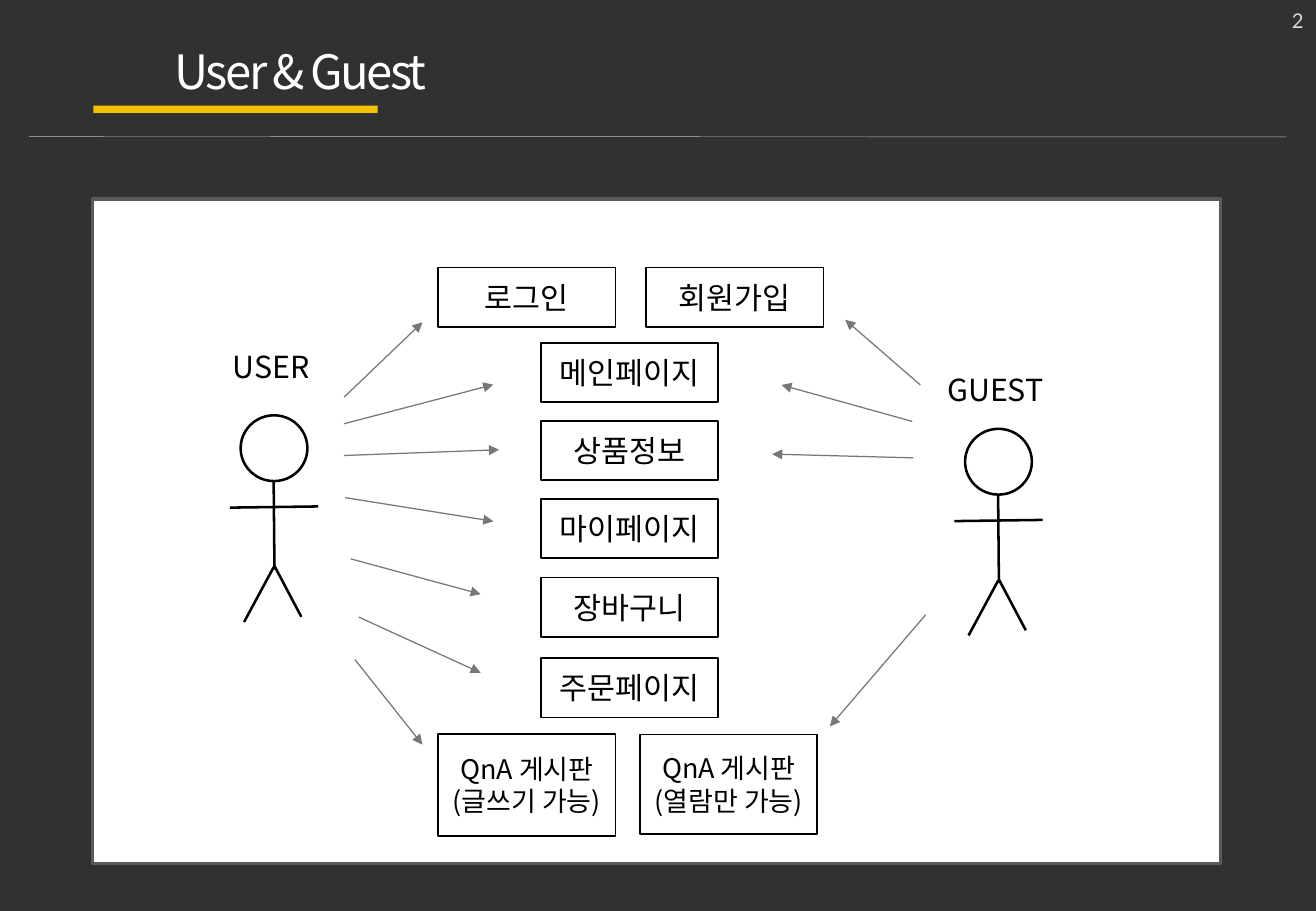
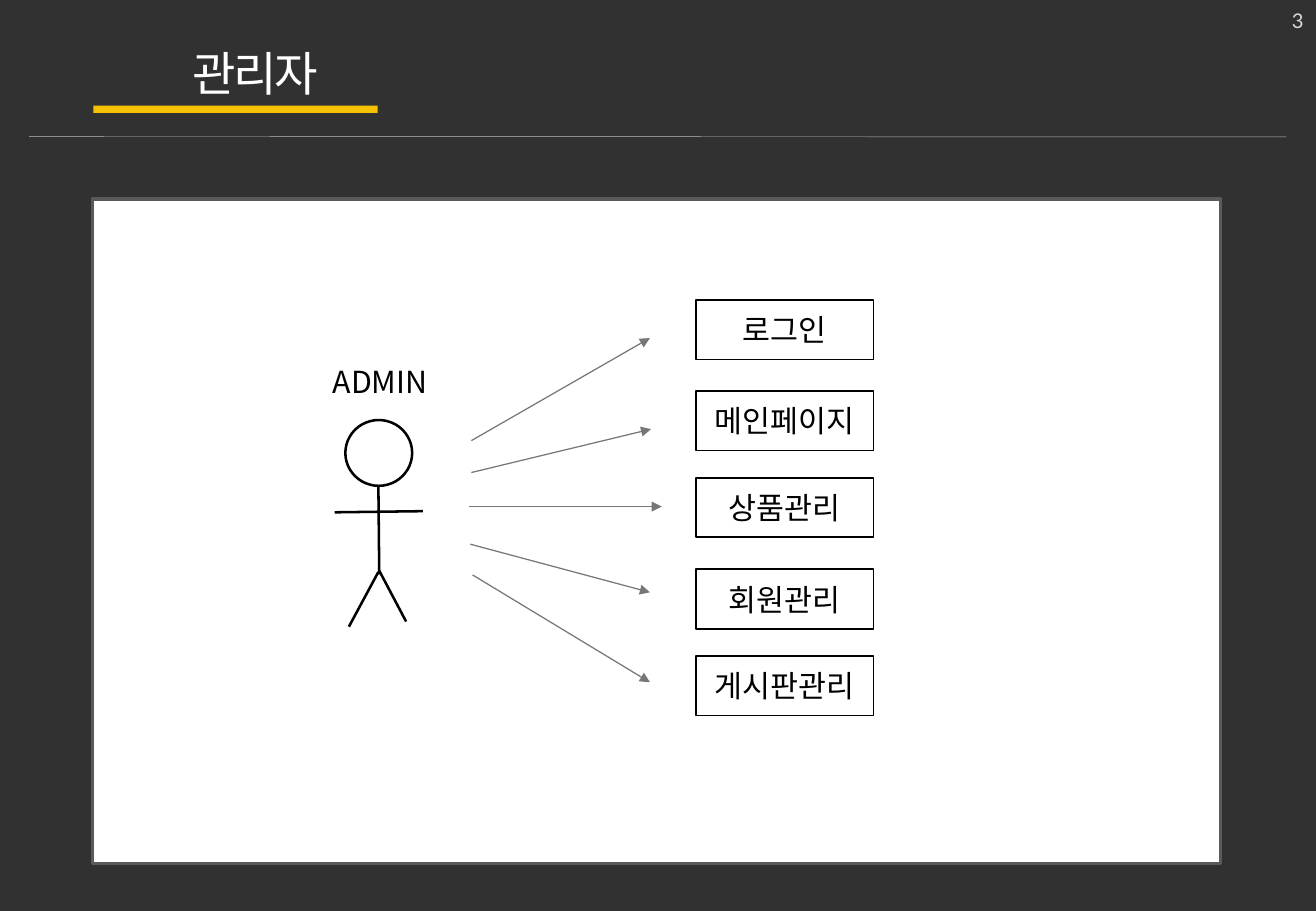
import dataclasses

import lxml.etree
import pptx
import pptx.dml.color
import pptx.enum.shapes
import pptx.enum.text
import pptx.oxml.ns
import pptx.util

Pt = pptx.util.Pt
Shape = pptx.enum.shapes.MSO_SHAPE
Anchor = pptx.enum.text.MSO_ANCHOR
Align = pptx.enum.text.PP_ALIGN


@dataclasses.dataclass(frozen=True)
class Theme:
    """Colours, fonts, type sizes and line widths."""
    backdrop: str = "313131"
    accent: str = "F5C201"
    paper: str = "FFFFFF"
    ink: str = "000000"
    frame: str = "5A5A5A"
    rule: str = "BFBFBF"
    arrow: str = "777777"
    number: str = "D9D9D9"
    font: str = "Noto Sans CJK KR"
    number_font: str = "Lato"
    title_size: int = 28
    body_size: int = 18
    note_size: int = 16
    number_size: int = 12
    title_spacing: int = -150
    frame_width: float = 2
    figure_width: float = 1.5
    box_width: float = 1
    arrow_width: float = 0.75
    rule_width: float = 0.25


THEME = Theme()

# Places shared by both slides: left, top, width, height, in points
PAGE_SIZE = (780, 540)
NUMBER_PLACE = (579.6, -2.2, 200.2, 28.8)
BAR_PLACE = (55.4, 62.6, 168.5, 4.3)
RULE_ENDS = (17.3, 80.9, 762.5, 81.2)
PANEL_PLACE = (54.7, 118, 668.9, 393.9)
BOX_SIZE = (105.1, 35.3)
HEAD_SIZE = (39.6, 39)

# Ends of each limb, measured from the corner of the head
LIMBS = {
    "torso": (19.6, 39.4, 20.1, 91.5),
    "arms": (-6.3, 54.7, 46, 54),
    "left leg": (19.6, 90, 2.1, 122.5),
    "right leg": (20.1, 89.3, 36, 119.4),
}

SLIDES = [
    {
        "number": "2",
        "title": ("User & Guest", (96.5, 21.6, 206.6, 41), True),
        "actors": [
            {"label": ("USER", (131, 203, 73.4, 28.8)), "head": (142.6, 246.2)},
            {"label": ("GUEST", (554.4, 216.7, 73.4, 28.8)), "head": (572, 254.2)},
        ],
        "column": (320.5, [("메인페이지", 203.2), ("상품정보", 249.4),
                           ("마이페이지", 295.6), ("장바구니", 342.4),
                           ("주문페이지", 390)]),
        "pairs": [("로그인", 259.7, 158.5), ("회원가입", 383, 158.5)],
        "notes": [
            (["QnA 게시판", "(글쓰기 가능)"], (259.7, 435, 105.1, 60.4)),
            (["QnA 게시판", "(열람만 가능)"], (379.4, 435.4, 105.1, 58.9)),
        ],
        "arrows": [
            (203.9, 235.5, 250.4, 191),
            (203.9, 251.2, 292.4, 228),
            (203.9, 270, 295.8, 266.6),
            (204.6, 295, 292.4, 309),
            (208, 331.3, 284.9, 352.2),
            (212.6, 365.8, 284.9, 398.8),
            (210.4, 391, 250.4, 441.4),
            (545.5, 228.2, 501, 189.6),
            (540.7, 249.8, 463.2, 228.2),
            (541.4, 271.4, 457.7, 269.2),
            (548.7, 364.4, 491.9, 430.6),
        ],
    },
    {
        "number": "3",
        "title": ("관리자", (107.3, 23, 93.6, 41), False),
        "actors": [
            {"label": ("ADMIN", (190.1, 211.7, 92.2, 28.8)), "head": (204.7, 249)},
        ],
        "column": (412.6, [("로그인", 177.8), ("메인페이지", 231.8),
                           ("상품관리", 283.2), ("회원관리", 337.4),
                           ("게시판관리", 388.8)]),
        "pairs": [],
        "notes": [],
        "arrows": [
            (279.4, 261.2, 385.2, 200.4),
            (279.4, 280.1, 385.9, 254.4),
            (278, 300.3, 392.2, 300.3),
            (278.8, 322.6, 385.2, 351.1),
            (280.1, 340.8, 385.2, 404.4),
        ],
    },
]


def colour(value):
    """Turn a hex string into a colour."""
    return pptx.dml.color.RGBColor.from_string(value)


def points(values):
    """Turn numbers into lengths."""
    return [Pt(value) for value in values]


def add_child(parent, tag, **attributes):
    """Append a DrawingML element."""
    return lxml.etree.SubElement(parent, pptx.oxml.ns.qn(tag), **attributes)


def write(frame, lines, size, ink, align=Align.LEFT, font=THEME.font, spacing=None):
    """Fill a text frame, one paragraph per line."""
    for index, line in enumerate(lines):
        para = frame.add_paragraph() if index else frame.paragraphs[0]
        para.alignment = align
        span = para.add_run()
        span.text = line
        span.font.size = Pt(size)
        span.font.color.rgb = colour(ink)
        span.font.name = font
        properties = span.font._element
        add_child(properties, "a:ea", typeface=font)
        if spacing is not None:
            properties.set("spc", str(spacing))


def add_label(page, lines, place, size, ink, wrap=True, anchor=Anchor.TOP, **style):
    """Place free text."""
    label = page.shapes.add_textbox(*points(place))
    label.text_frame.word_wrap = wrap
    label.text_frame.vertical_anchor = anchor
    write(label.text_frame, lines, size, ink, **style)


def add_form(page, kind, place, fill, line=None, width=0):
    """Draw a flat filled shape, outlined when a line colour is given."""
    form = page.shapes.add_shape(kind, *points(place))
    form.shadow.inherit = False
    form.fill.solid()
    form.fill.fore_color.rgb = colour(fill)
    if line:
        form.line.color.rgb = colour(line)
        form.line.width = Pt(width)
    else:
        form.line.fill.background()
    return form


def add_line(page, ends, ink, width, arrow=False):
    """Draw a straight line, with an arrowhead at its end if asked."""
    line = page.shapes.add_connector(
        pptx.enum.shapes.MSO_CONNECTOR.STRAIGHT, *points(ends))
    line.line.color.rgb = colour(ink)
    line.line.width = Pt(width)
    if arrow:
        add_child(line.line._get_or_add_ln(), "a:tailEnd", type="triangle")
    add_child(line._element.spPr, "a:effectLst")


def add_box(page, lines, place, size=THEME.body_size):
    """Draw an outlined box with centred text."""
    box = add_form(page, Shape.RECTANGLE, place, THEME.paper, THEME.ink,
                   THEME.box_width)
    box.text_frame.word_wrap = True
    box.text_frame.vertical_anchor = Anchor.MIDDLE
    write(box.text_frame, lines, size, THEME.ink, Align.CENTER)


def add_actor(page, label, head):
    """Draw a stick figure and its name."""
    left, top = head
    add_form(page, Shape.OVAL, (*head, *HEAD_SIZE), THEME.paper, THEME.ink,
             THEME.figure_width)
    for x1, y1, x2, y2 in LIMBS.values():
        add_line(page, (left + x1, top + y1, left + x2, top + y2),
                 THEME.ink, THEME.figure_width)
    name, place = label
    add_label(page, [name], place, THEME.body_size, THEME.ink)


def add_furniture(page, number, title):
    """Draw the number, title, rules and white panel."""
    add_label(page, [number], NUMBER_PLACE, THEME.number_size, THEME.number,
              anchor=Anchor.MIDDLE, align=Align.RIGHT, font=THEME.number_font)
    add_form(page, Shape.RECTANGLE, BAR_PLACE, THEME.accent)
    heading, place, wrap = title
    add_label(page, [heading], place, THEME.title_size, THEME.paper, wrap,
              spacing=THEME.title_spacing)
    add_line(page, RULE_ENDS, THEME.rule, THEME.rule_width)
    add_form(page, Shape.RECTANGLE, PANEL_PLACE, THEME.paper, THEME.frame,
             THEME.frame_width)


def build_page(deck, content):
    """Build one use-case slide."""
    page = deck.slides.add_slide(deck.slide_layouts[6])
    add_furniture(page, content["number"], content["title"])
    for actor in content["actors"]:
        add_actor(page, **actor)
    left, cases = content["column"]
    stacked = [(name, left, top) for name, top in cases]
    for name, box_left, box_top in content["pairs"] + stacked:
        add_box(page, [name], (box_left, box_top, *BOX_SIZE))
    for lines, place in content["notes"]:
        add_box(page, lines, place, THEME.note_size)
    for ends in content["arrows"]:
        add_line(page, ends, THEME.arrow, THEME.arrow_width, arrow=True)


def main():
    """Build and save the deck."""
    deck = pptx.Presentation()
    deck.slide_width, deck.slide_height = points(PAGE_SIZE)
    backdrop = deck.slide_master.background.fill
    backdrop.solid()
    backdrop.fore_color.rgb = colour(THEME.backdrop)
    for content in SLIDES:
        build_page(deck, content)
    deck.save("out.pptx")


main()
